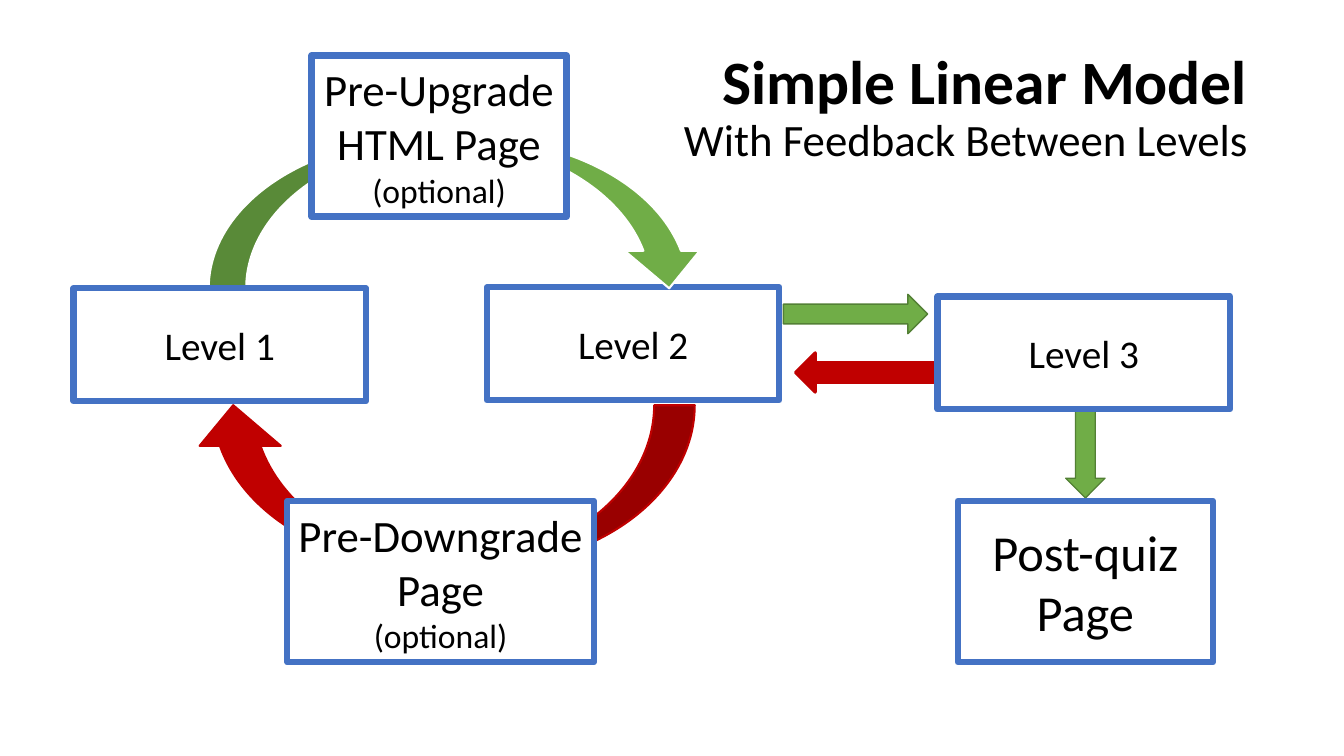
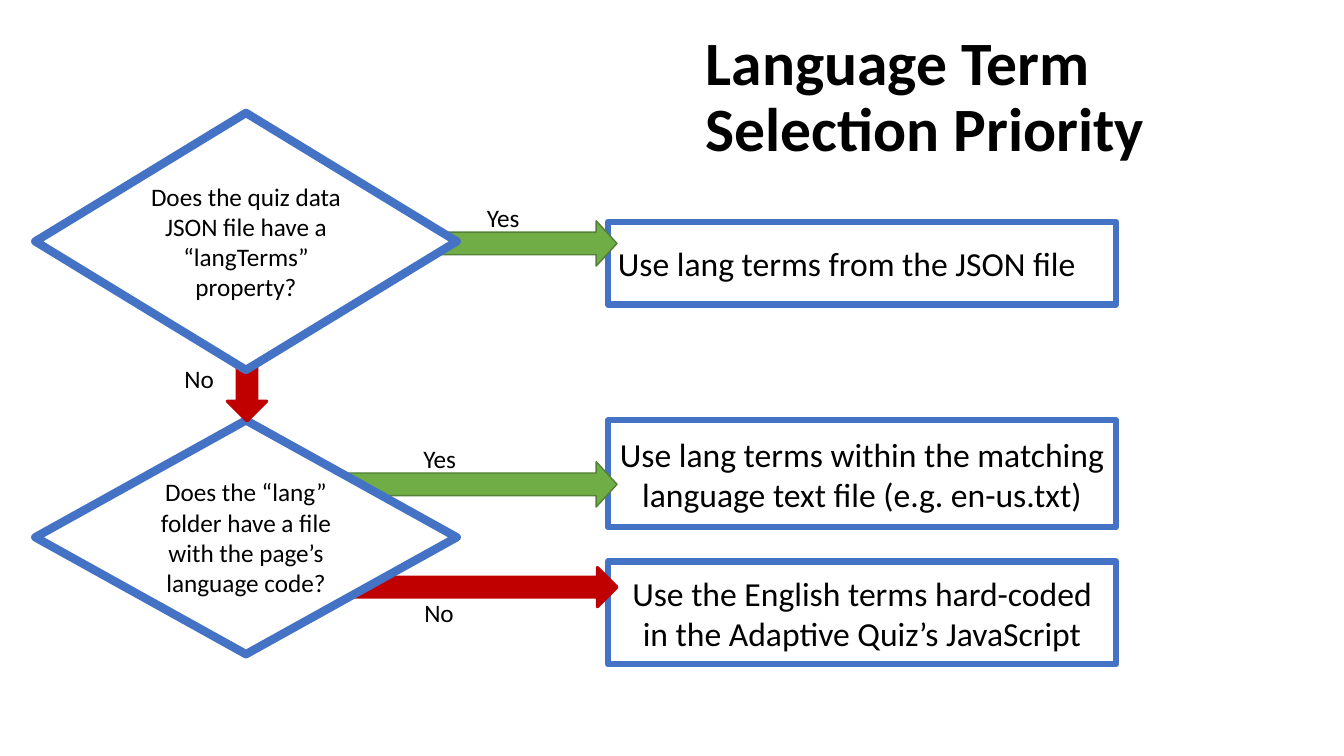
from pptx import Presentation
from pptx.dml.color import RGBColor
from pptx.enum.shapes import MSO_SHAPE as Preset
from pptx.enum.text import MSO_ANCHOR as Anchor, MSO_AUTO_SIZE as AutoSize, PP_ALIGN as Align
from pptx.util import Pt

PX = 9144  # 100 px to the inch
FONT = "Calibri"
COLORS = {
    "ink": "000000",
    "paper": "FFFFFF",
    "frame": "4472C4",
    "yes": "70AD47",
    "yes_edge": "538035",
    "no": "C00000",
}

# Style: preset, fill, line colour, line width in points
STYLES = {
    "box": (Preset.RECTANGLE, "paper", "frame", 4.5),
    "question": (Preset.DIAMOND, "paper", "frame", 6),
    "yes": (Preset.RIGHT_ARROW, "yes", "yes_edge", 1),
    "no": (Preset.RIGHT_ARROW, "no", "no", 2.25),
    "upgrade": (Preset.CURVED_DOWN_ARROW, "yes", "paper", 1.5),
    "downgrade": (Preset.CURVED_DOWN_ARROW, "no", "no", 1.5),
}

# Parts run from back to front: style, (left, top, width, height), details.
# Text is a list of (wording, size in points), one entry a paragraph.
SLIDES = [
    {
        "title": [("Simple Linear Model", 44), ("With Feedback Between Levels", 32)],
        "title_frame": (652, 46, 596, 214),
        "title_align": Align.RIGHT,
        "parts": [
            ("yes", (1005, 403, 143, 39), {"turn": 90}),
            ("yes", (777, 292, 143, 39), {}),
            ("no", (789, 350, 143, 39), {"turn": 180}),
            ("box", (930, 294, 290, 112), {"text": [("Level 3", 28)]}),
            ("box", (483, 285, 290, 112), {"text": [("Level 2", 28)]}),
            ("box", (950, 497, 253, 160), {"text": [("Post-quiz Page", 36)]}),
            ("upgrade", (207, 137, 494, 149), {}),
            ("box", (309, 55, 253, 160),
             {"text": [("Pre-Upgrade HTML Page", 32), ("(optional)", 24)]}),
            ("box", (73, 286, 290, 112), {"text": [("Level 1", 28)]}),
            ("downgrade", (191, 402, 498, 161), {"turn": 180}),
            ("box", (285, 497, 304, 160),
             {"text": [("Pre-Downgrade Page", 32), ("(optional)", 24)]}),
        ],
    },
    {
        "title": [("Language Term Selection Priority", 44)],
        "title_frame": (690, 27, 562, 136),
        "title_align": Align.LEFT,
        "parts": [
            ("box", (603, 220, 504, 82),
             {"text": [("Use lang terms from the JSON file", 24)], "align": Align.LEFT}),
            ("box", (603, 417, 504, 106),
             {"text": [("Use lang terms within the matching language text file (e.g. en-us.txt)", 24)]}),
            ("box", (603, 557, 504, 102),
             {"text": [("Use the English terms hard-coded in the Adaptive Quiz’s JavaScript", 24)]}),
            ("yes", (395, 219, 217, 45), {"head": 0.46}),
            ("label", (473, 196, 53, 40), {"text": [("Yes", 18)]}),
            ("label", (173, 356, 50, 40), {"text": [("No", 18)]}),
            ("yes", (337, 458, 275, 45), {"head": 0.46}),
            ("no", (313, 563, 299, 39), {}),
            ("question", (35, 417, 418, 232),
             {"text": [("Does the “lang” folder have a file with the page’s language code?", 18)]}),
            ("label", (410, 435, 53, 40), {"text": [("Yes", 18)]}),
            ("label", (411, 588, 50, 40), {"text": [("No", 18)]}),
            ("no", (165, 318, 160, 39), {"turn": 90}),
            ("question", (35, 112, 418, 255),
             {"text": [("Does the quiz data JSON file have a “langTerms” property?", 18)]}),
        ],
    },
]


def color(name):
    return RGBColor.from_string(COLORS[name])


def to_emu(frame):
    return [length * PX for length in frame]


def write(text_frame, paragraphs, align, spacing=None):
    text_frame.text = "\n".join(wording for wording, size in paragraphs)
    for para, (wording, size) in zip(text_frame.paragraphs, paragraphs):
        para.alignment = align
        para.line_spacing = spacing
        for span in para.runs:
            span.font.name = FONT
            span.font.size = Pt(size)
            span.font.color.rgb = color("ink")


def set_title(page, content):
    title = page.shapes.title
    title.left, title.top, title.width, title.height = to_emu(content["title_frame"])
    text_frame = title.text_frame
    write(text_frame, content["title"], content["title_align"], 0.9)
    text_frame.word_wrap = True
    text_frame.auto_size = AutoSize.NONE
    text_frame.vertical_anchor = Anchor.TOP
    for position, para in enumerate(text_frame.paragraphs):
        para.runs[0].font.bold = position == 0


def add_label(page, frame, details):
    label = page.shapes.add_textbox(*to_emu(frame))
    write(label.text_frame, details["text"], Align.LEFT)
    label.text_frame.word_wrap = False
    label.text_frame.auto_size = AutoSize.SHAPE_TO_FIT_TEXT


def add_part(page, style, frame, details):
    preset, fill, edge, width = STYLES[style]
    shape = page.shapes.add_shape(preset, *to_emu(frame))
    shape.shadow.inherit = False
    shape.fill.solid()
    shape.fill.fore_color.rgb = color(fill)
    shape.line.color.rgb = color(edge)
    shape.line.width = Pt(width)
    shape.rotation = details.get("turn", 0)
    if "head" in details:
        shape.adjustments[1] = details["head"]
    if "text" in details:
        write(shape.text_frame, details["text"], details.get("align", Align.CENTER))
        shape.text_frame.word_wrap = True
        shape.text_frame.vertical_anchor = Anchor.MIDDLE


def main():
    deck = Presentation()
    deck.slide_width, deck.slide_height = to_emu((1333, 750))
    for content in SLIDES:
        page = deck.slides.add_slide(deck.slide_layouts[5])  # title only
        set_title(page, content)
        for style, frame, details in content["parts"]:
            if style == "label":
                add_label(page, frame, details)
            else:
                add_part(page, style, frame, details)
    deck.save("out.pptx")


if __name__ == "__main__":
    main()
